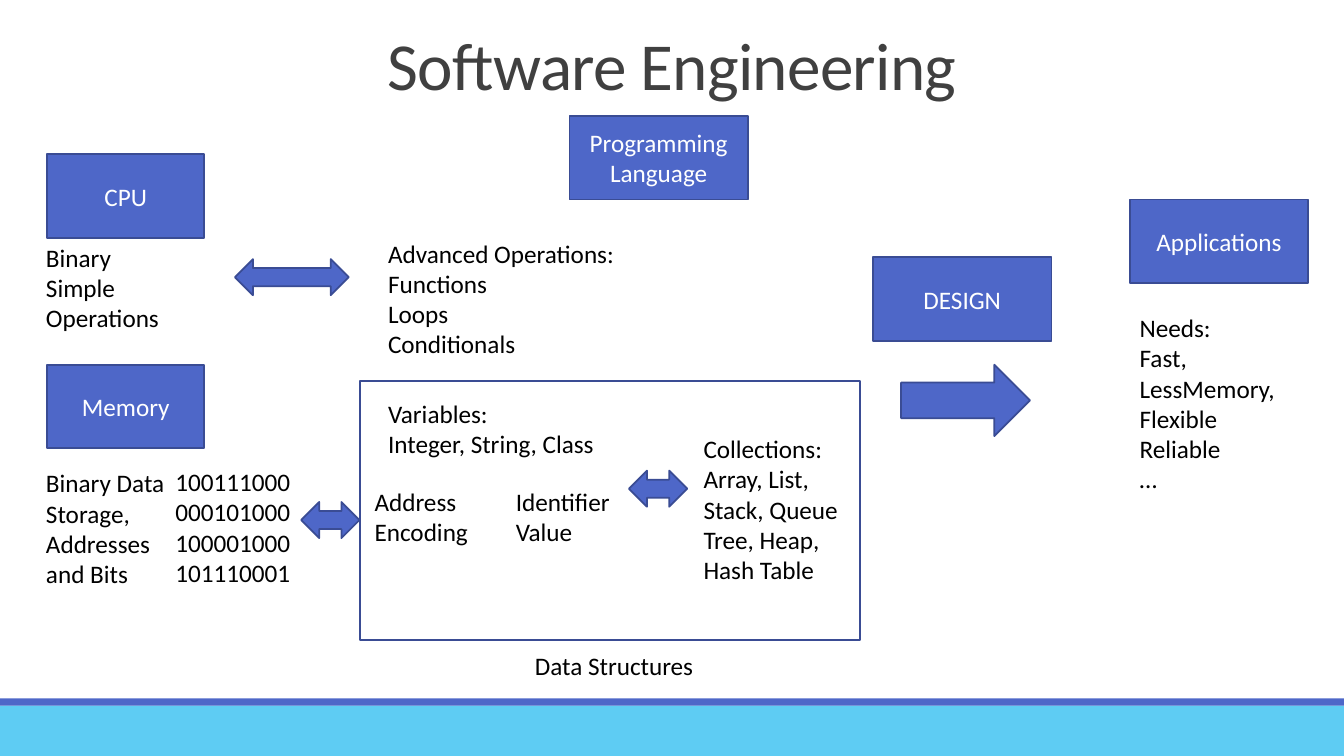
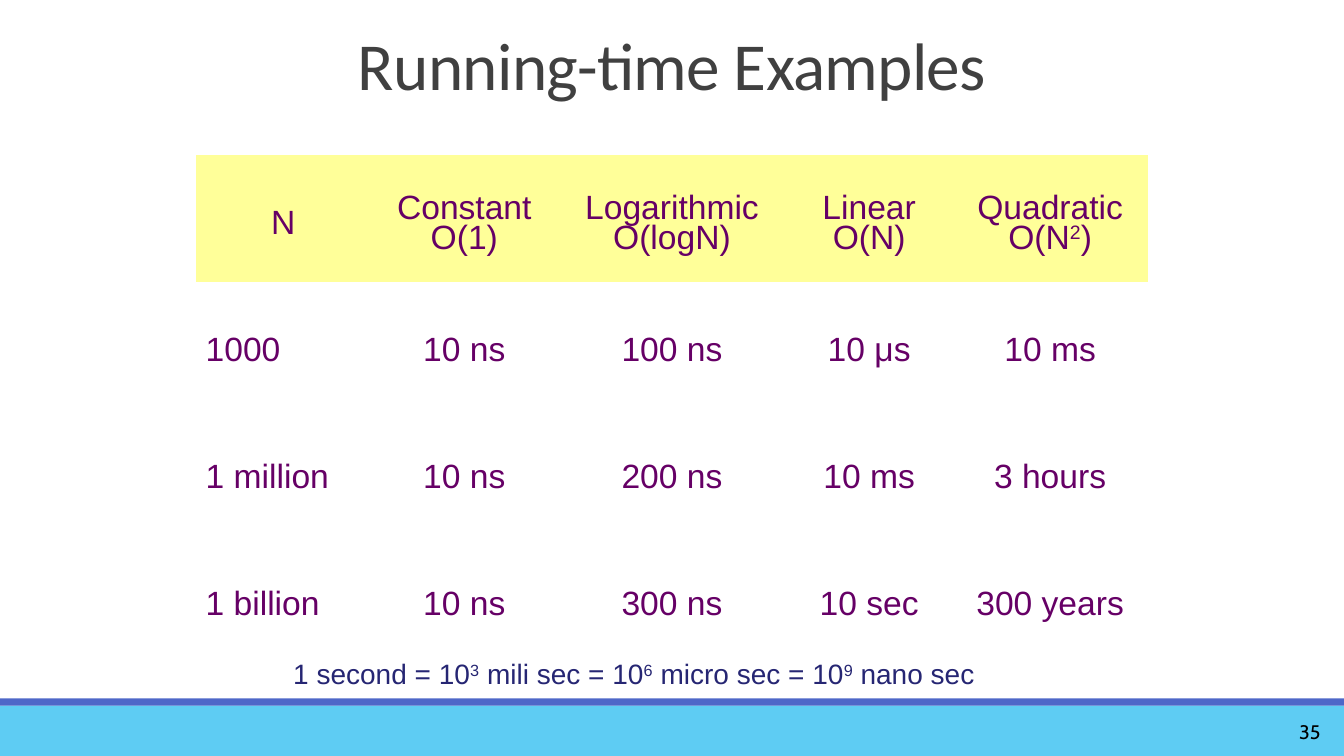
from pptx import Presentation
from pptx.dml.color import RGBColor
from pptx.enum.shapes import MSO_SHAPE
from pptx.enum.text import MSO_ANCHOR, PP_ALIGN
from pptx.oxml.ns import qn
from pptx.util import Cm, Pt

RECT = MSO_SHAPE.RECTANGLE
RIGHT_ARROW = MSO_SHAPE.RIGHT_ARROW
BOTH_ARROW = MSO_SHAPE.LEFT_RIGHT_ARROW
TOP, MIDDLE, BOTTOM = MSO_ANCHOR.TOP, MSO_ANCHOR.MIDDLE, MSO_ANCHOR.BOTTOM
LEFT, CENTER, RIGHT = PP_ALIGN.LEFT, PP_ALIGN.CENTER, PP_ALIGN.RIGHT

WIDTH, HEIGHT = 33.87, 19.05
BLUE, SKY, EDGE = "4E67C8", "5ECCF3", "3A4C94"
WHITE, BLACK, GREY = "FFFFFF", "000000", "404040"
YELLOW, PURPLE, NAVY = "FFFF99", "660066", "262673"
PLAIN_TABLE = "{2D5ABB26-0587-4C30-8999-92F81FD0307C}"


def color(code):
    return RGBColor.from_string(code)


def write(frame, text, size=18, font="Calibri", ink=BLACK, align=LEFT,
          spacing=None, track=None):
    """Fill a text frame, one paragraph a line; ^ raises the next character."""
    for i, line in enumerate(text.split("\n")):
        para = frame.paragraphs[0] if i == 0 else frame.add_paragraph()
        para.alignment = align
        if spacing:
            para.line_spacing = spacing
        first, *others = line.split("^")
        parts = [(first, False)]
        for part in others:
            parts += [(part[0], True), (part[1:], False)]
        for words, raised in parts:
            run = para.add_run()
            run.text = words
            run.font.size = Pt(size)
            run.font.name = font
            run.font.color.rgb = color(ink)
            props = run.font._element
            if raised:
                props.set("baseline", "30000")
            if track:
                props.set("spc", str(track))


class Deck:
    def __init__(self):
        self.show = Presentation()
        self.show.slide_width = Cm(WIDTH)
        self.show.slide_height = Cm(HEIGHT)
        self.slide = None

    def page(self, title, number=None):
        """Start a slide with its bands, title and page number."""
        self.slide = self.show.slides.add_slide(self.show.slide_layouts[6])
        self.shape(RECT, 0, 17.78, WIDTH, 1.27, fill=SKY, line=None)
        self.shape(RECT, 0, 17.6, WIDTH, 0.18, line=None)
        self.text(title, 0, 0, WIDTH, 2.74, anchor=BOTTOM, size=48, ink=GREY,
                  align=CENTER, spacing=0.85, track=-50)
        if number:
            self.text(number, 29.9, 17.93, 3.63, 1.02, anchor=MIDDLE, size=14,
                      font="Cabin", align=RIGHT)

    def shape(self, kind, x, y, w, h, fill=BLUE, line=EDGE):
        item = self.slide.shapes.add_shape(kind, Cm(x), Cm(y), Cm(w), Cm(h))
        item.shadow.inherit = False
        if fill:
            item.fill.solid()
            item.fill.fore_color.rgb = color(fill)
        else:
            item.fill.background()
        if line:
            item.line.color.rgb = color(line)
            item.line.width = Pt(1.25)
        else:
            item.line.fill.background()
        return item

    def box(self, label, x, y, w=4.5):
        frame = self.shape(RECT, x, y, w, 2.11).text_frame
        frame.word_wrap = True
        frame.vertical_anchor = MIDDLE
        write(frame, label, ink=WHITE, align=CENTER)

    def text(self, text, x, y, w, h, anchor=TOP, **style):
        item = self.slide.shapes.add_textbox(Cm(x), Cm(y), Cm(w), Cm(h))
        frame = item.text_frame
        frame.word_wrap = True
        frame.vertical_anchor = anchor
        write(frame, text, **style)

    def table(self, rows, x, y, widths, height):
        item = self.slide.shapes.add_table(
            len(rows), len(widths), Cm(x), Cm(y),
            Cm(sum(widths)), Cm(height * len(rows)))
        for style in item.element.iter(qn("a:tableStyleId")):
            style.text = PLAIN_TABLE
        grid = item.table
        grid.horz_banding = False
        for column, width in zip(grid.columns, widths):
            column.width = Cm(width)
        for r, row in enumerate(rows):
            grid.rows[r].height = Cm(height)
            for c, words in enumerate(row):
                cell = grid.cell(r, c)
                cell.vertical_anchor = MIDDLE
                cell.margin_top = Cm(0.46)
                if r == 0:
                    cell.fill.solid()
                    cell.fill.fore_color.rgb = color(YELLOW)
                else:
                    cell.fill.background()
                write(cell.text_frame, words, size=24, font="Arial",
                      ink=PURPLE, spacing=0.81,
                      align=LEFT if r and c == 0 else CENTER)


def design(deck):
    deck.page("Software Engineering")
    for label, y in (("CPU", 3.89), ("Memory", 9.19)):
        deck.box(label, 1.19, y, 3.96)
    for label, x, y in (("Programming\nLanguage", 14.35, 2.92),
                        ("Applications", 28.47, 5.03),
                        ("DESIGN", 22, 6.48)):
        deck.box(label, x, y)
    notes = (
        ("Binary Simple Operations", 0.91, 5.97, 3.73, 2.57),
        ("Binary Data Storage, Addresses and Bits", 0.91, 11.66, 3.73, 3.33),
        ("100111000\n000101000\n100001000\n101110001",
         4.17, 11.63, 3.73, 3.33),
        ("Advanced Operations: Functions\nLoops\nConditionals",
         9.53, 5.87, 6.88, 3.33),
        ("Variables:\nInteger, String, Class", 9.53, 9.91, 5.72, 1.8),
        ("Address\nEncoding", 9.19, 12.12, 3.23, 1.8),
        ("Identifier\nValue", 12.75, 12.12, 3.23, 1.8),
        ("Collections:\nArray, List, Stack, Queue Tree, Heap, Hash Table",
         17.48, 10.8, 3.96, 4.11),
        ("Needs:\nFast,\nLessMemory,\nFlexible\nReliable\n…",
         28.47, 7.75, 3.96, 4.88),
        ("Data Structures", 13.23, 16.26, 4.72, 1.02),
    )
    for note in notes:
        deck.text(*note)
    for x, y, w in ((5.92, 6.53, 2.87), (7.59, 12.65, 1.47),
                    (15.85, 11.86, 1.47)):
        deck.shape(BOTH_ARROW, x, y, w, 0.91)
    deck.shape(RIGHT_ARROW, 22.71, 9.19, 3.25, 1.8)
    deck.shape(RECT, 9.07, 9.6, 12.6, 6.53, fill=None)


def timing(deck):
    deck.page("Running-time Examples", "35")
    rows = (
        ("N", "Constant\nO(1)", "Logarithmic\nO(logN)", "Linear\nO(N)",
         "Quadratic\nO(N^2)"),
        ("1000", "10 ns", "100 ns", "10 μs", "10 ms"),
        ("1 million", "10 ns", "200 ns", "10 ms", "3 hours"),
        ("1 billion", "10 ns", "300 ns", "10 sec", "300 years"),
    )
    deck.table(rows, 4.93, 3.91, (4.42, 4.7, 5.77, 4.17, 4.95), 3.2)
    deck.text("1 second = 10^3 mili sec = 10^6 micro sec = 10^9 nano sec",
              7.14, 16.43, 18, 1.12, size=20, font="Arial", ink=NAVY)


def main():
    deck = Deck()
    design(deck)
    timing(deck)
    deck.show.save("out.pptx")


if __name__ == "__main__":
    main()
